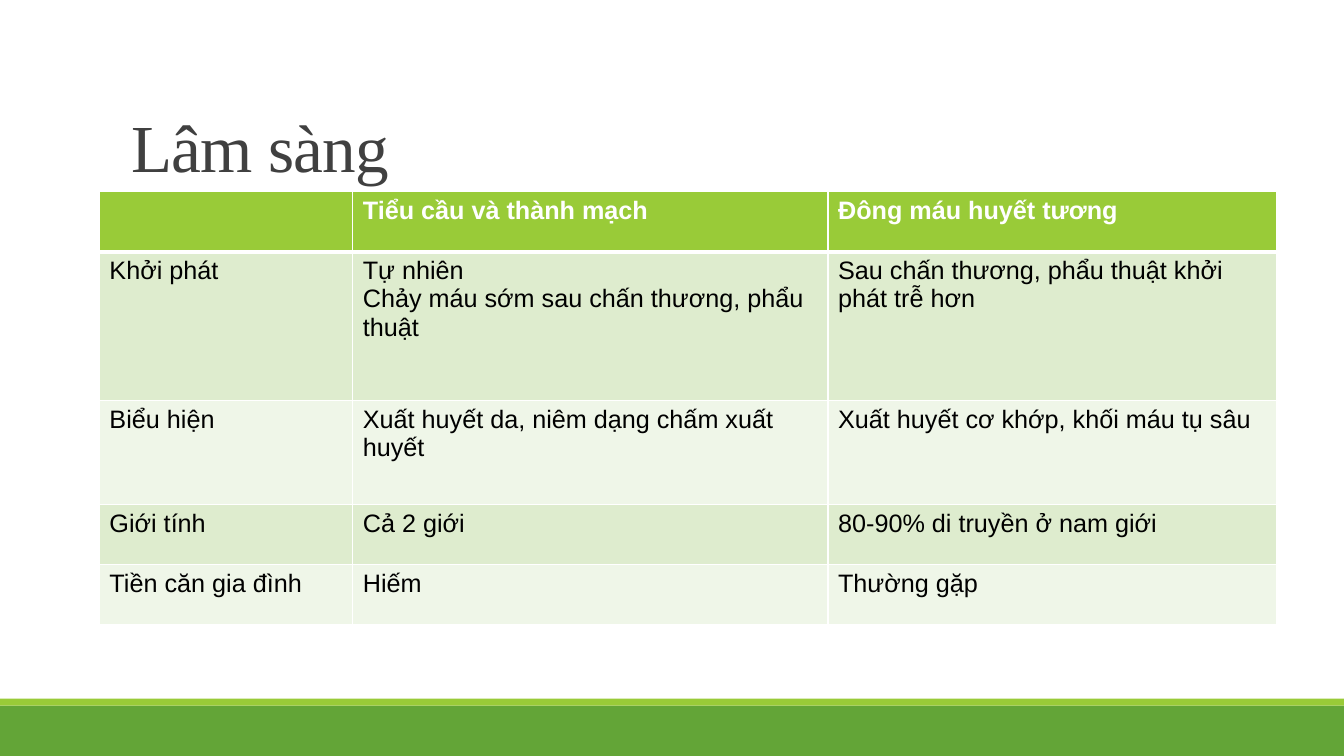
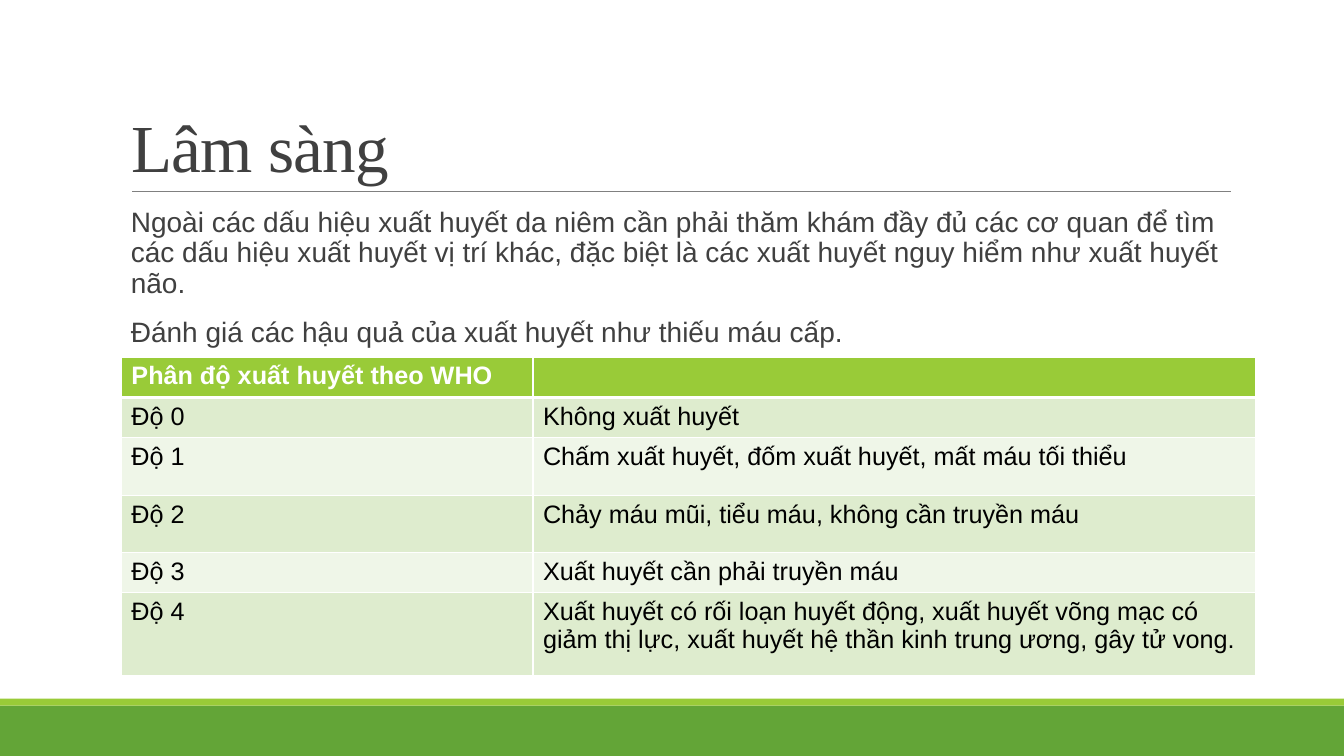
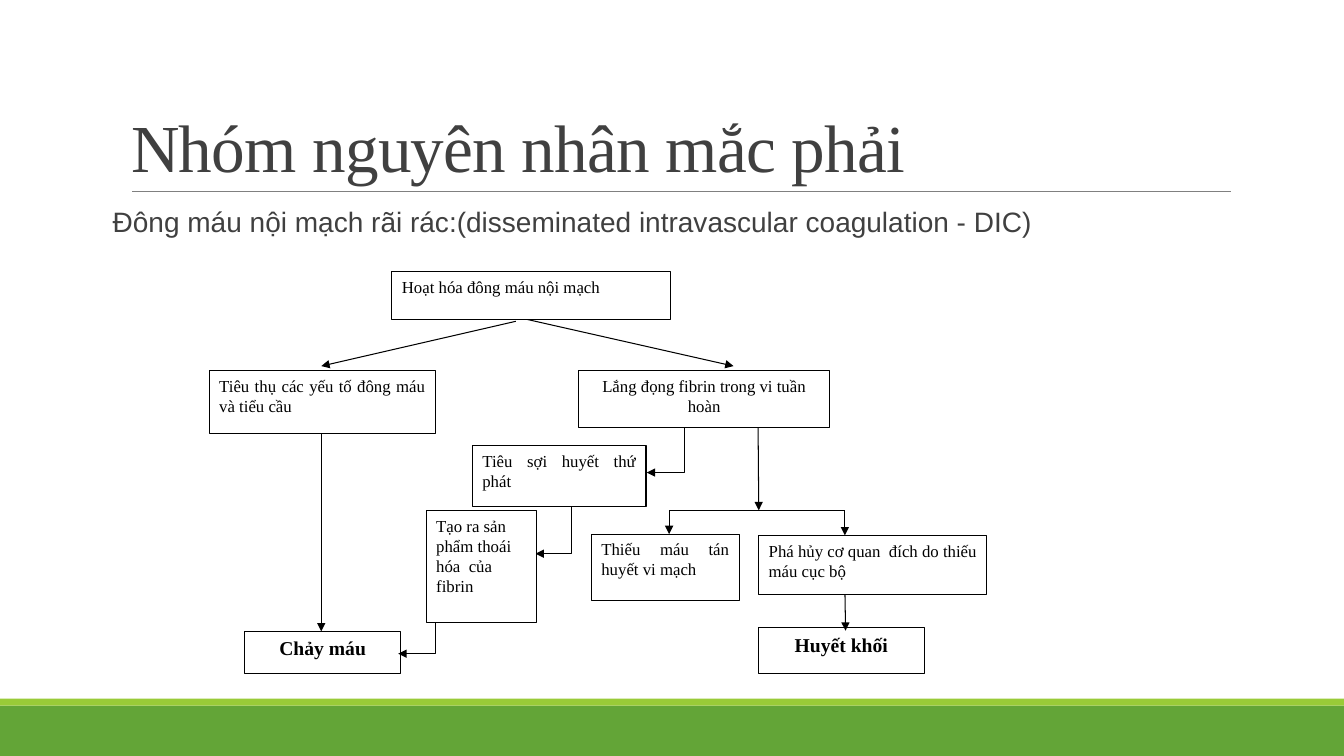
import pptx
import pptx.util
import pptx.dml.color
import pptx.enum.shapes
import pptx.enum.text
import pptx.oxml
import pptx.oxml.ns
from lxml import etree

Pt = pptx.util.Pt
ALIGN = pptx.enum.text.PP_ALIGN
ANCHOR = pptx.enum.text.MSO_ANCHOR
CONNECTOR = pptx.enum.shapes.MSO_CONNECTOR
RECTANGLE = pptx.enum.shapes.MSO_SHAPE.RECTANGLE

COLORS = {
    "green": "63A537",
    "lime": "99CB38",
    "band_dark": "DEECCE",
    "band_light": "EFF6E8",
    "text": "404040",
    "rule": "808080",
    "black": "000000",
    "white": "FFFFFF",
}
SANS = "Arial"
SERIF = "Times New Roman"
WIDTH, HEIGHT = 960, 540


def color(name):
    return pptx.dml.color.RGBColor.from_string(COLORS[name])


def add_run(para, text, size, font, ink, bold=False):
    run = para.add_run()
    run.text = text
    run.font.size = Pt(size)
    run.font.name = font
    run.font.bold = bold
    run.font.color.rgb = color(ink)
    return run


def add_rectangle(slide, left, top, width, height, fill):
    box = slide.shapes.add_shape(RECTANGLE, Pt(left), Pt(top), Pt(width), Pt(height))
    box.shadow.inherit = False
    box.fill.solid()
    box.fill.fore_color.rgb = color(fill)
    box.line.fill.background()
    return box


def add_line(slide, start, end, ink="black", weight=0.75, arrow=False, kind=CONNECTOR.STRAIGHT):
    line = slide.shapes.add_connector(kind, *(Pt(value) for value in start + end))
    line.line.color.rgb = color(ink)
    line.line.width = Pt(weight)
    if arrow:
        etree.SubElement(line.line._get_or_add_ln(), pptx.oxml.ns.qn("a:tailEnd"), type="triangle")
    etree.SubElement(line.element.spPr, pptx.oxml.ns.qn("a:effectLst"))
    return line


def decorate_layout(slide):
    """Draw the shared bands and title rule, then move them to the slide's layout."""
    parts = [
        add_rectangle(slide, 0, 504, WIDTH, 36, "green"),
        add_rectangle(slide, 0, 499, WIDTH, 5, "lime"),
        add_line(slide, (94.5, 136.8), (879, 136.8), "rule", 0.5),
    ]
    for part in parts:
        slide.slide_layout.shapes.element.append(part.element)


def add_titled_slide(deck, title):
    slide = deck.slides.add_slide(deck.slide_layouts[5])
    box = slide.shapes.title
    box.left, box.top, box.width, box.height = Pt(86.4), Pt(22.5), Pt(792), Pt(114.2)
    frame = box.text_frame
    frame.word_wrap = True
    frame.auto_size = pptx.enum.text.MSO_AUTO_SIZE.NONE
    frame.vertical_anchor = ANCHOR.BOTTOM
    para = frame.paragraphs[0]
    para.alignment = ALIGN.LEFT
    para.line_spacing = 0.85
    run = add_run(para, title, 48, SERIF, "text")
    run.font._element.set("spc", "-50")
    return slide


def add_body(slide, left, height, texts):
    box = slide.shapes.add_textbox(Pt(left), Pt(145.4), Pt(792), Pt(height))
    frame = box.text_frame
    frame.word_wrap = True
    frame.margin_left = Pt(7.2)
    frame.margin_right = 0
    for index, text in enumerate(texts):
        para = frame.add_paragraph() if index else frame.paragraphs[0]
        para.line_spacing = 0.9
        para.space_before = Pt(12 if index else 0)
        para.space_after = Pt(2)
        add_run(para, text, 20, SANS, "text")


def set_borders(cell, top, bottom):
    properties = cell._tc.get_or_add_tcPr()
    for side, weight in (("L", 1), ("R", 1), ("T", top), ("B", bottom)):
        properties.append(pptx.oxml.parse_xml(
            f'<a:ln{side} {pptx.oxml.ns.nsdecls("a")} w="{Pt(weight)}"><a:solidFill>'
            f'<a:srgbClr val="{COLORS["white"]}"/></a:solidFill></a:ln{side}>'))


def add_banded_table(slide, left, top, widths, heights, rows):
    """Each row is a list of cell texts; a line break starts a new paragraph."""
    frame = slide.shapes.add_table(len(rows), len(widths), Pt(left), Pt(top),
                                   Pt(sum(widths)), Pt(sum(heights)))
    table = frame.table
    table.horz_banding = False
    for column, width in zip(table.columns, widths):
        column.width = Pt(width)
    for index, (row, height, texts) in enumerate(zip(table.rows, heights, rows)):
        row.height = Pt(height)
        header = index == 0
        fill = "lime" if header else "band_dark" if index % 2 else "band_light"
        for cell, text in zip(row.cells, texts):
            set_borders(cell, 3 if index == 1 else 1, 3 if header else 1)
            cell.fill.solid()
            cell.fill.fore_color.rgb = color(fill)
            for number, part in enumerate(text.split("\n") if text else []):
                frame = cell.text_frame
                para = frame.add_paragraph() if number else frame.paragraphs[0]
                add_run(para, part, 18, SANS, "white" if header else "black", header)


def add_flow_box(slide, place, text, align=ALIGN.LEFT, size=12, bold=False):
    box = add_rectangle(slide, *place, "white")
    box.line.color.rgb = color("black")
    box.line.width = Pt(0.75)
    frame = box.text_frame
    frame.word_wrap = True
    frame.vertical_anchor = ANCHOR.TOP
    para = frame.paragraphs[0]
    para.alignment = align
    add_run(para, text, size, SERIF, "black", bold)


def build_comparison(deck):
    slide = add_titled_slide(deck, "Lâm sàng")
    decorate_layout(slide)
    add_banded_table(slide, 71, 136.8, [181, 339.5, 320.5], [43, 106.5, 74, 43, 43], [
        ["", "Tiểu cầu và thành mạch", "Đông máu huyết tương"],
        ["Khởi phát", "Tự nhiên\nChảy máu sớm sau chấn thương, phẩu thuật",
         "Sau chấn thương, phẩu thuật khởi phát trễ hơn"],
        ["Biểu hiện", "Xuất huyết da, niêm dạng chấm xuất huyết",
         "Xuất huyết cơ khớp, khối máu tụ sâu"],
        ["Giới tính", "Cả 2 giới", "80-90% di truyền ở nam giới"],
        ["Tiền căn gia đình", "Hiếm", "Thường gặp"],
    ])


def build_grades(deck):
    slide = add_titled_slide(deck, "Lâm sàng")
    add_body(slide, 86.4, 108, [
        "Ngoài các dấu hiệu xuất huyết da niêm cần phải thăm khám đầy đủ các cơ quan để tìm "
        "các dấu hiệu xuất huyết vị trí khác, đặc biệt là các xuất huyết nguy hiểm như "
        "xuất huyết não.",
        "Đánh giá các hậu quả của xuất huyết như thiếu máu cấp.",
    ])
    add_banded_table(slide, 86.7, 255, [294, 516.5], [24, 24, 41, 41, 24, 59], [
        ["Phân độ xuất huyết theo WHO", ""],
        ["Độ 0", "Không xuất huyết"],
        ["Độ 1", "Chấm xuất huyết, đốm xuất huyết, mất máu tối thiểu"],
        ["Độ 2", "Chảy máu mũi, tiểu máu, không cần truyền máu"],
        ["Độ 3", "Xuất huyết cần phải truyền máu"],
        ["Độ 4", "Xuất huyết có rối loạn huyết động, xuất huyết võng mạc có giảm thị lực, "
                 "xuất huyết hệ thần kinh trung ương, gây tử vong."],
    ])


def build_flowchart(deck):
    slide = add_titled_slide(deck, "Nhóm nguyên nhân mắc phải")
    add_body(slide, 73.4, 36, [
        "Đông máu nội mạch rãi rác:(disseminated intravascular coagulation - DIC)"])

    outcomes = [
        ((175, 451, 111, 30), "Chảy máu"),
        ((541.5, 448.5, 119, 32.5), "Huyết khối"),
    ]
    for place, text in outcomes:
        add_flow_box(slide, place, text, ALIGN.CENTER, 14, True)

    add_line(slide, (478.5, 364.5), (603.5, 364.5))
    arrows = [
        ((368.5, 229.5), (229.5, 261.5)),
        ((373.5, 227.5), (524, 261.5)),
        ((229.5, 307.5), (229.5, 451)),
        ((541.5, 302.5), (542, 364.5)),
        ((478, 364.5), (478, 381.5)),
        ((603.5, 364.5), (603.5, 382.5)),
        ((603.5, 421), (604, 450.5)),
    ]
    for start, end in arrows:
        add_line(slide, start, end, arrow=True)
    elbows = [
        ((515.5, 302.5), (462, 337.5)),
        ((433.5, 360), (382.5, 395.5)),
        ((337.5, 437), (284.5, 467)),
    ]
    for start, end in elbows:
        add_line(slide, start, end, arrow=True, kind=CONNECTOR.ELBOW)

    # Later boxes hide the starts of the arrows.
    steps = [
        ((422.5, 381.5, 105.5, 47.5), "Thiếu máu tán huyết vi mạch", ALIGN.JUSTIFY),
        ((542, 382.5, 163, 42.5), "Phá hủy cơ quan  đích do thiếu máu cục bộ", ALIGN.JUSTIFY),
        ((304.5, 364.5, 78.5, 80), "Tạo ra sản phẩm thoái hóa  của fibrin", ALIGN.LEFT),
        ((337.5, 318.5, 124, 43.5), "Tiêu sợi huyết thứ phát", ALIGN.JUSTIFY),
        ((149.5, 265, 161.5, 45), "Tiêu thụ các yếu tố đông máu và tiểu cầu", ALIGN.JUSTIFY),
        ((413.5, 264.5, 179, 41), "Lắng đọng fibrin trong vi tuần hoàn", ALIGN.CENTER),
        ((280, 194, 199, 34), "Hoạt hóa đông máu nội mạch", ALIGN.LEFT),
    ]
    for place, text, align in steps:
        add_flow_box(slide, place, text, align)


def main():
    deck = pptx.Presentation()
    deck.slide_width, deck.slide_height = Pt(WIDTH), Pt(HEIGHT)
    build_comparison(deck)
    build_grades(deck)
    build_flowchart(deck)
    deck.save("out.pptx")


if __name__ == "__main__":
    main()
